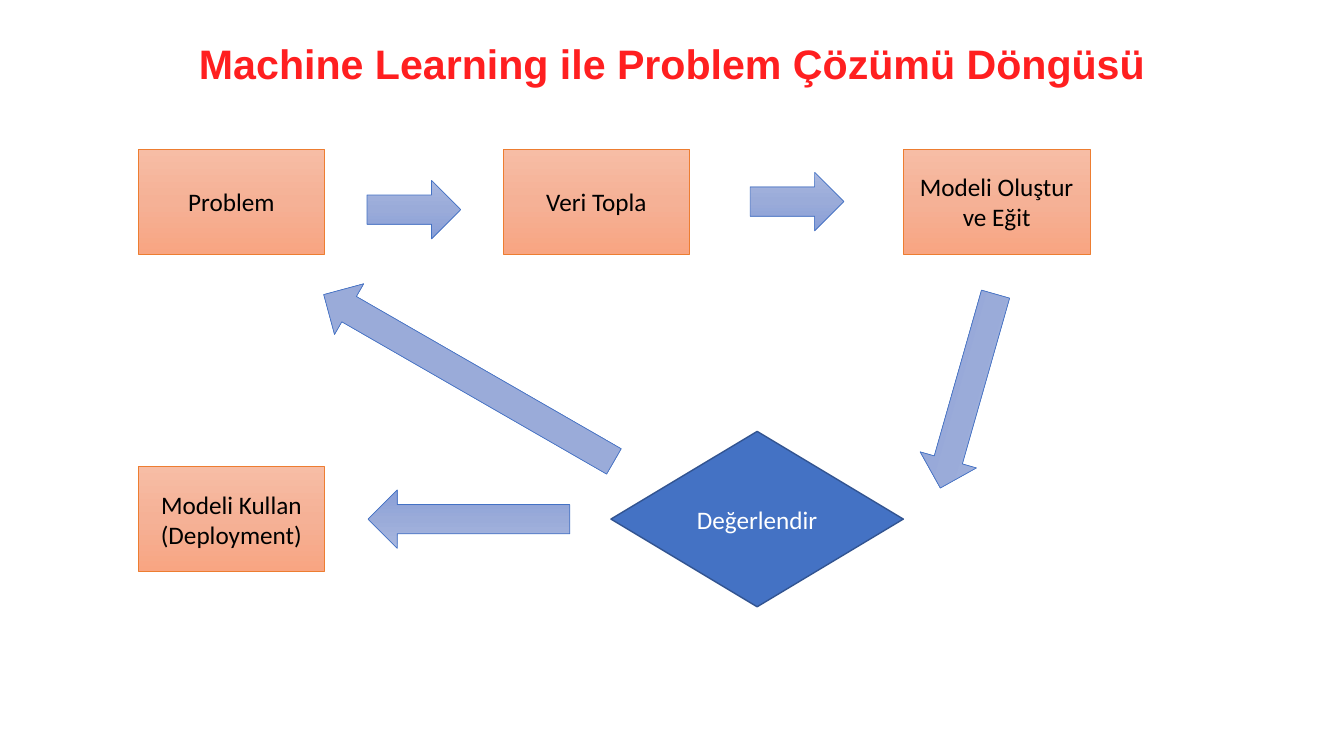
from copy import deepcopy

from pptx import Presentation
from pptx.dml.color import RGBColor
from pptx.enum import shapes, text
from pptx.oxml import ns
from pptx.util import Inches, Pt

RED = RGBColor(0xFF, 0x1F, 0x20)
BLACK = RGBColor(0x00, 0x00, 0x00)
WHITE = RGBColor(0xFF, 0xFF, 0xFF)
ORANGE = RGBColor(0xED, 0x7D, 0x31)
BLUE = RGBColor(0x44, 0x72, 0xC4)
DARK_BLUE = RGBColor(0x32, 0x54, 0x91)
ORANGE_STOPS = (
    RGBColor(0xF7, 0xBD, 0xA5),
    RGBColor(0xF5, 0xB1, 0x96),
    RGBColor(0xF8, 0xA5, 0x82),
)
BLUE_STOPS = (
    RGBColor(0xA8, 0xB7, 0xDF),
    RGBColor(0x9A, 0xAB, 0xD9),
    RGBColor(0x88, 0x9E, 0xD7),
)

BOX_WIDTH, BOX_HEIGHT = 1.85, 1.04
ARROW_HEIGHT = 0.58
LEFT_COLUMN, TOP_ROW, BOTTOM_ROW = 1.37, 1.48, 4.63


def write_text(shape, content, size=18, font="Calibri", color=BLACK, bold=False, spacing=None):
    frame = shape.text_frame
    frame.word_wrap = True
    frame.vertical_anchor = text.MSO_ANCHOR.MIDDLE
    frame.text = content
    for paragraph in frame.paragraphs:
        paragraph.alignment = text.PP_ALIGN.CENTER
        paragraph.line_spacing = spacing
        paragraph.font.size = Pt(size)
        paragraph.font.name = font
        paragraph.font.bold = bold
        paragraph.font.color.rgb = color


def fill_gradient(shape, colors):
    fill = shape.fill
    fill.gradient()
    fill.gradient_angle = 270
    stop_list = shape.element.spPr.find(".//" + ns.qn("a:gsLst"))
    stop_list.insert(1, deepcopy(stop_list[0]))
    for index, (stop, color) in enumerate(zip(fill.gradient_stops, colors)):
        stop.position = index / 2
        stop.color.rgb = color


def add_outlined(slide, kind, left, top, width, height, line, weight=0.5):
    shape = slide.shapes.add_shape(
        kind, Inches(left), Inches(top), Inches(width), Inches(height)
    )
    shape.shadow.inherit = False
    shape.line.color.rgb = line
    shape.line.width = Pt(weight)
    return shape


def add_title(slide, content):
    title = slide.shapes.add_textbox(Inches(1.67), Inches(0.3), Inches(10), Inches(0.78))
    write_text(title, content, size=29.4, font="Arial", color=RED, bold=True, spacing=0.7)


def add_step(slide, content, left, top):
    step = add_outlined(
        slide, shapes.MSO_SHAPE.RECTANGLE, left, top, BOX_WIDTH, BOX_HEIGHT, ORANGE
    )
    fill_gradient(step, ORANGE_STOPS)
    write_text(step, content)


def add_arrow(slide, left, top, width, rotation=0):
    arrow = add_outlined(
        slide, shapes.MSO_SHAPE.RIGHT_ARROW, left, top, width, ARROW_HEIGHT, BLUE
    )
    fill_gradient(arrow, BLUE_STOPS)
    arrow.rotation = rotation


def add_decision(slide, content):
    decision = add_outlined(
        slide, shapes.MSO_SHAPE.FLOWCHART_DECISION, 6.06, 4.28, 2.9, 1.74, DARK_BLUE, 1
    )
    decision.fill.solid()
    decision.fill.fore_color.rgb = BLUE
    write_text(decision, content, color=WHITE)


def main():
    presentation = Presentation()
    presentation.slide_width = Inches(13.33)
    presentation.slide_height = Inches(7.5)
    slide = presentation.slides.add_slide(presentation.slide_layouts[6])

    add_title(slide, "Machine Learning ile Problem Çözümü Döngüsü")
    add_step(slide, "Problem", LEFT_COLUMN, TOP_ROW)
    add_arrow(slide, 3.64, 1.79, 0.93)
    add_step(slide, "Veri Topla", 4.99, TOP_ROW)
    add_arrow(slide, 7.44, 1.71, 0.93)
    add_step(slide, "Modeli Oluştur ve Eğit", 8.96, TOP_ROW)
    add_arrow(slide, 8.6, 3.59, 2, rotation=105.9)
    add_decision(slide, "Değerlendir")
    add_arrow(slide, 3.65, 4.86, 2, rotation=180)
    add_step(slide, "Modeli Kullan\n(Deployment)", LEFT_COLUMN, BOTTOM_ROW)
    add_arrow(slide, 2.99, 3.46, 3.32, rotation=209.9)

    presentation.save("out.pptx")


if __name__ == "__main__":
    main()
